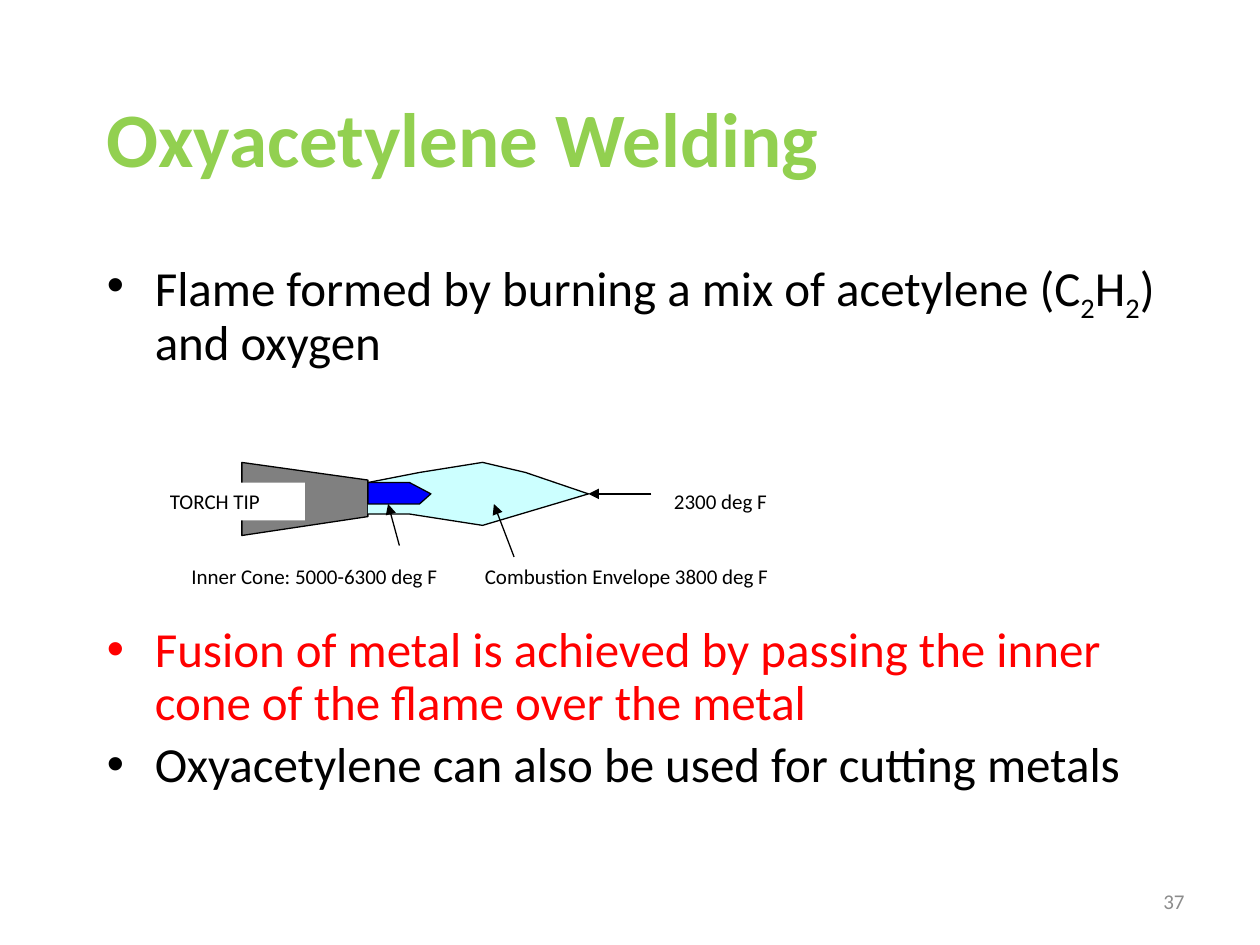
from lxml.etree import SubElement
from pptx import Presentation
from pptx.dml.color import RGBColor
from pptx.enum.shapes import MSO_CONNECTOR
from pptx.enum.text import MSO_ANCHOR, PP_ALIGN
from pptx.oxml.ns import qn
from pptx.util import Inches, Pt


def color(code):
    return RGBColor.from_string(code)


class Deck:
    font = "Calibri"
    ink = "000000"
    edge = Pt(0.75)

    def __init__(self, slide):
        self.slide = slide

    def style(self, para, size, code, bold=False):
        for run in para.runs:
            run.font.name = self.font
            run.font.size = Pt(size)
            run.font.bold = bold
            run.font.color.rgb = color(code)

    def box(self, at):
        shape = self.slide.shapes.add_textbox(*map(Inches, at))
        shape.text_frame.word_wrap = True
        return shape

    def label(self, text, at, size=12, code=ink, bold=False, fill=None):
        shape = self.box(at)
        shape.text_frame.text = text
        self.style(shape.text_frame.paragraphs[0], size, code, bold)
        if fill:
            shape.fill.solid()
            shape.fill.fore_color.rgb = color(fill)
        return shape.text_frame

    def bullets(self, items, at):
        """Each item is a list of text parts and a colour; digits are subscripts."""
        frame = self.box(at).text_frame
        for i, (parts, code) in enumerate(items):
            para = frame.add_paragraph() if i else frame.paragraphs[0]
            para.line_spacing = 0.9
            para.space_before = Pt(5.6)
            for part in parts:
                run = para.add_run()
                run.text = part
                if part.isdigit():
                    run.font._element.set("baseline", "-25000")
            self.style(para, 28, code)
            props = para._p.get_or_add_pPr()
            props.set("marL", str(Inches(0.38)))
            props.set("indent", str(-Inches(0.38)))
            SubElement(props, qn("a:buFont")).set("typeface", "Arial")
            SubElement(props, qn("a:buChar")).set("char", "•")

    def outline(self, points, fill, close=True):
        first, *rest = [(Inches(x), Inches(y)) for x, y in points]
        path = self.slide.shapes.build_freeform(*first)
        path.add_line_segments(rest, close=close)
        shape = path.convert_to_shape()
        shape.shadow.inherit = False
        shape.fill.solid()
        shape.fill.fore_color.rgb = color(fill)
        shape.line.color.rgb = color(self.ink)
        shape.line.width = self.edge

    def arrow(self, start, end):
        link = self.slide.shapes.add_connector(
            MSO_CONNECTOR.STRAIGHT, *map(Inches, start + end))
        link.line.color.rgb = color(self.ink)
        link.line.width = self.edge
        SubElement(link.line._get_or_add_ln(), qn("a:tailEnd")).set("type", "triangle")
        SubElement(link._element.spPr, qn("a:effectLst"))


def main():
    show = Presentation()
    show.slide_width, show.slide_height = Inches(10), Inches(7.5)
    deck = Deck(show.slides.add_slide(show.slide_layouts[6]))

    # Title and page number
    deck.label("Oxyacetylene Welding", (0.75, 0.67, 7.25, 0.83), 44, "92D050", True)
    page = deck.label("37", (7.17, 6.95, 2.33, 0.4), code="8C8C8C")
    page.vertical_anchor = MSO_ANCHOR.MIDDLE
    page.paragraphs[0].alignment = PP_ALIGN.RIGHT

    # Bullets above and below the diagram
    deck.bullets([
        (["Flame formed by burning a mix of acetylene (C", "2", "H", "2",
          ") and oxygen"], "000000"),
    ], (0.75, 2, 8.58, 1.1))
    deck.bullets([
        (["Fusion of metal is achieved by passing the inner cone of the flame "
          "over the metal"], "FF0000"),
        (["Oxyacetylene can also be used for cutting metals"], "000000"),
    ], (0.75, 4.91, 8.58, 2.09))

    # Torch tip, combustion envelope and inner cone
    deck.outline([(1.92, 4.25), (2.92, 4.1), (2.92, 3.81), (1.92, 3.67)], "808080")
    deck.outline([(2.92, 3.83), (3.33, 3.75), (3.83, 3.67), (4.17, 3.75),
                  (4.67, 3.92), (3.83, 4.17), (3.25, 4.08), (2.92, 4.08)],
                 "CCFFFF", close=False)
    deck.outline([(2.92, 3.83), (3.25, 3.83), (3.42, 3.92), (3.33, 4), (2.92, 4)],
                 "0000FF")

    # Pointers
    deck.arrow((3.17, 4.33), (3.08, 4))
    deck.arrow((4.08, 4.42), (3.92, 4))
    deck.arrow((5.17, 3.92), (4.67, 3.92))

    # Diagram labels
    deck.label("Inner Cone: 5000-6300 deg F", (1.42, 4.42, 2.25, 0.3))
    deck.label("Combustion Envelope 3800 deg F", (3.75, 4.42, 2.5, 0.3))
    deck.label("2300 deg F", (5.25, 3.83, 1.92, 0.3))
    deck.label("TORCH TIP", (1.25, 3.83, 1.17, 0.3), fill="FFFFFF")

    show.save("out.pptx")


if __name__ == "__main__":
    main()
